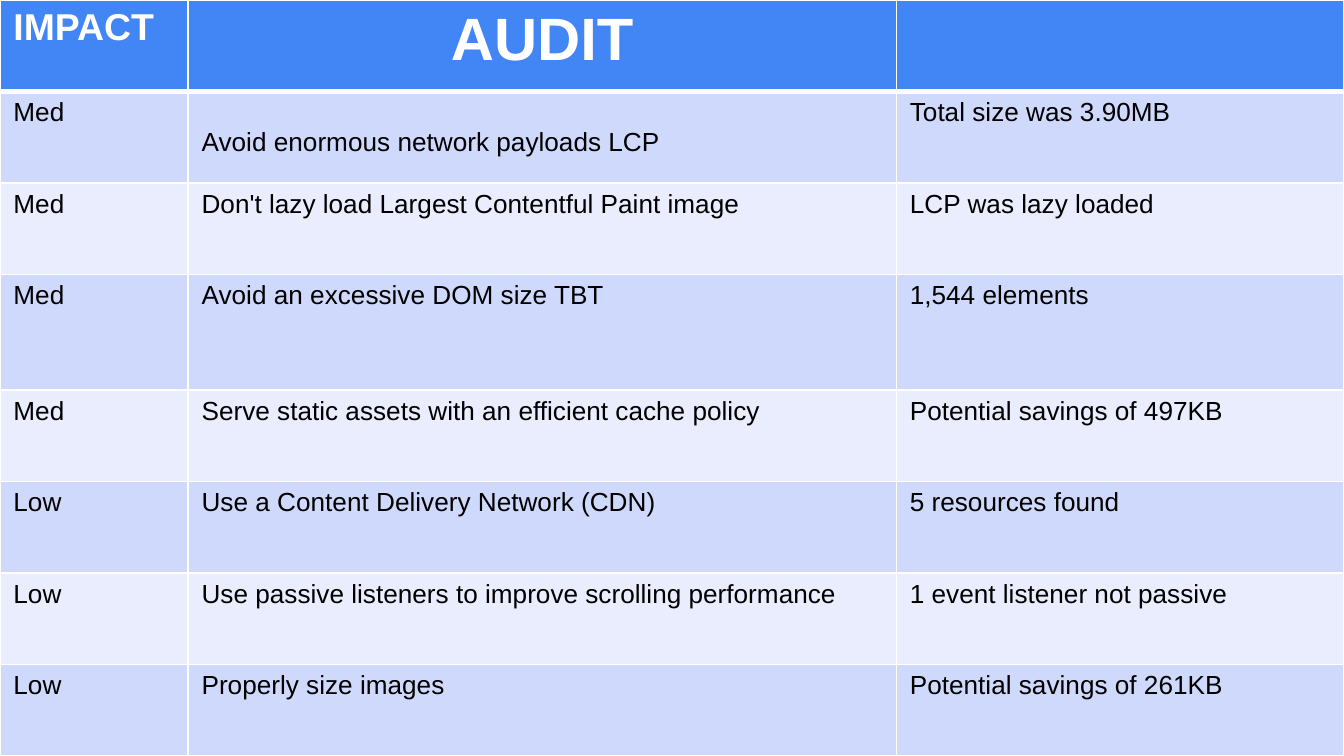
from lxml.etree import SubElement
from pptx import Presentation
from pptx.dml.color import RGBColor
from pptx.enum.text import PP_ALIGN
from pptx.oxml.ns import qn
from pptx.util import Inches, Pt

WHITE = RGBColor(0xFF, 0xFF, 0xFF)
BLACK = RGBColor(0x00, 0x00, 0x00)
HEADER_BLUE = RGBColor(0x42, 0x85, 0xF4)
BAND_DARK = RGBColor(0xCF, 0xD9, 0xFB)
BAND_LIGHT = RGBColor(0xE9, 0xED, 0xFD)

SLIDE_WIDTH = 10
SLIDE_HEIGHT = SLIDE_WIDTH * 9 / 16
COLUMN_WIDTHS = [1.4, 5.27, 3.33]
TALL_ROW, TALL_HEIGHT = 3, 0.86

HEADERS = [("IMPACT", 20, PP_ALIGN.LEFT), ("AUDIT", 32, PP_ALIGN.CENTER),
           ("", 18, PP_ALIGN.LEFT)]
AUDITS = [
    ("Med", "Avoid enormous network payloads LCP", "Total size was 3.90MB"),
    ("Med", "Don't lazy load Largest Contentful Paint image", "LCP was lazy loaded"),
    ("Med", "Avoid an excessive DOM size TBT", "1,544 elements"),
    ("Med", "Serve static assets with an efficient cache policy",
     "Potential savings of 497KB"),
    ("Low", "Use a Content Delivery Network (CDN)", "5 resources found"),
    ("Low", "Use passive listeners to improve scrolling performance",
     "1 event listener not passive"),
    ("Low", "Properly size images", "Potential savings of 261KB"),
]


class SlideBuilder:
    """Holds the text style and the current slide."""

    font = "Arial"
    body_size = 14

    def __init__(self, slide):
        self.s = slide

    def table(self, widths, heights):
        table = self.s.shapes.add_table(
            len(heights), len(widths), 0, 0,
            Inches(sum(widths)), Inches(sum(heights))).table
        for column, width in zip(table.columns, widths):
            column.width = Inches(width)
        for row, height in zip(table.rows, heights):
            row.height = Inches(height)
        return table

    def borders(self, cell, top=1, bottom=1):
        tcPr = cell._tc.get_or_add_tcPr()
        for side, width in (("L", 1), ("R", 1), ("T", top), ("B", bottom)):
            ln = SubElement(tcPr, qn(f"a:ln{side}"), w=str(Pt(width)))
            fill = SubElement(ln, qn("a:solidFill"))
            SubElement(fill, qn("a:srgbClr"), val=str(WHITE))

    def cell(self, cell, text, fill, size=body_size, color=BLACK, bold=False,
             align=PP_ALIGN.LEFT, top=1, bottom=1):
        self.borders(cell, top, bottom)
        cell.fill.solid()
        cell.fill.fore_color.rgb = fill
        p = cell.text_frame.paragraphs[0]
        p.text = text
        p.alignment = align
        for r in p.runs:
            r.font.name = self.font
            r.font.size = Pt(size)
            r.font.bold = bold
            r.font.color.rgb = color


def main():
    prs = Presentation()
    prs.slide_width, prs.slide_height = Inches(SLIDE_WIDTH), Inches(SLIDE_HEIGHT)
    b = SlideBuilder(prs.slides.add_slide(prs.slide_layouts[6]))

    # Equal rows share the height left by the tall one
    row_height = (SLIDE_HEIGHT - TALL_HEIGHT) / len(AUDITS)
    heights = [row_height] * (len(AUDITS) + 1)
    heights[TALL_ROW] = TALL_HEIGHT
    table = b.table(COLUMN_WIDTHS, heights)

    # Header row
    for col, (text, size, align) in enumerate(HEADERS):
        b.cell(table.cell(0, col), text, HEADER_BLUE, size, WHITE, True, align,
               bottom=3)

    # Audit rows in alternating bands
    for row, audit in enumerate(AUDITS, start=1):
        fill = BAND_DARK if row % 2 else BAND_LIGHT
        for col, text in enumerate(audit):
            b.cell(table.cell(row, col), text, fill, top=3 if row == 1 else 1)

    # The first audit sits one line lower
    table.cell(1, 1).margin_top = Inches(0.27)

    prs.save("out.pptx")


if __name__ == "__main__":
    main()
